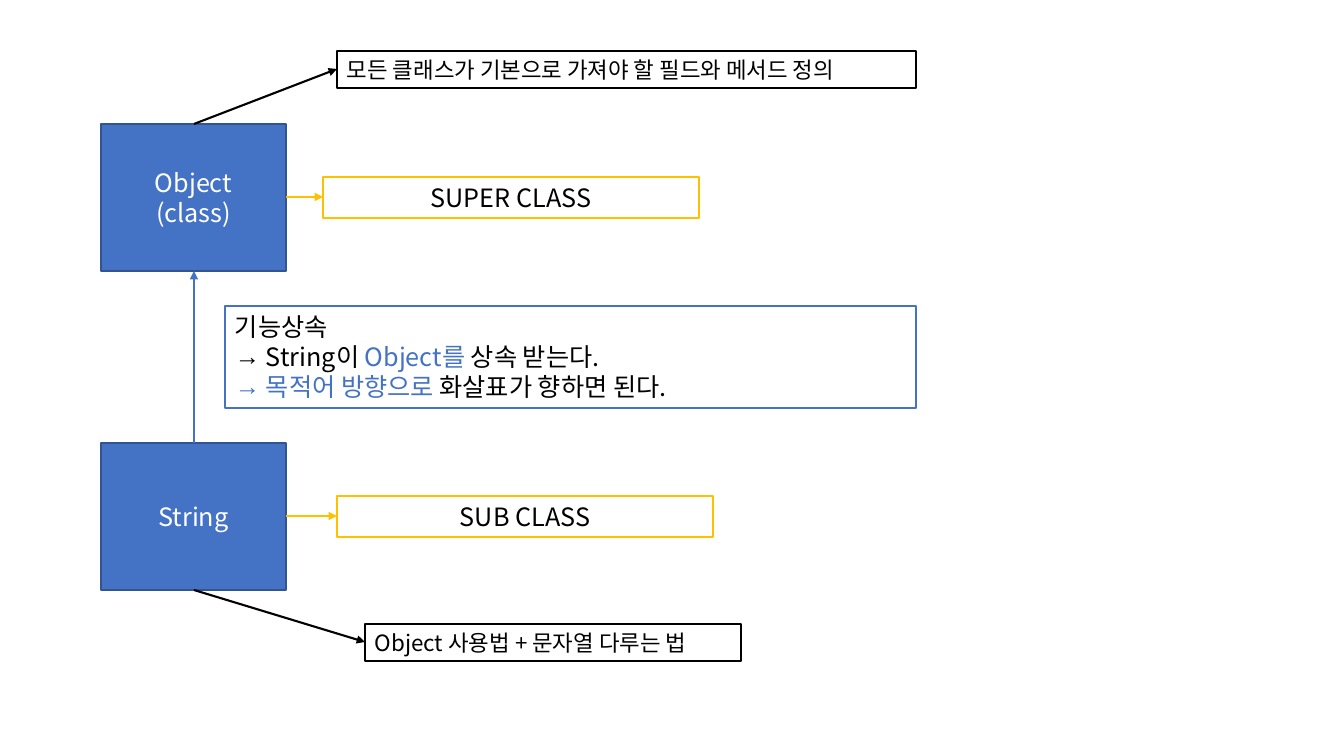
"""Build a slide on how the String class inherits from Object."""
from lxml.etree import SubElement
from pptx import Presentation
from pptx.dml.color import RGBColor
from pptx.enum.shapes import MSO_CONNECTOR, MSO_SHAPE
from pptx.enum.text import MSO_ANCHOR, MSO_AUTO_SIZE as AutoSize, PP_ALIGN as Align
from pptx.oxml.ns import qn
from pptx.util import Pt

BLUE = RGBColor(0x44, 0x72, 0xC4)
NAVY = RGBColor(0x32, 0x54, 0x91)
GOLD = RGBColor(0xFF, 0xC0, 0x00)
BLACK = RGBColor(0, 0, 0)
WHITE = RGBColor(255, 255, 255)


class Diagram:
    FONT = "Noto Sans CJK KR"
    SCALE = 914400 / 100.8

    def __init__(self, width, height):
        self.deck = Presentation()
        self.deck.slide_width, self.deck.slide_height = self.emu(width, height)
        self.slide = self.deck.slides.add_slide(self.deck.slide_layouts[6])

    def emu(self, *pixels):
        return [round(pixel * self.SCALE) for pixel in pixels]

    def paint(self, shape, fill, line):
        shape.fill.solid()
        shape.fill.fore_color.rgb = fill
        shape.line.color.rgb = line
        shape.line.width = Pt(1)
        shape.text_frame.word_wrap = True

    def fill_text(self, frame, paragraphs, color, size, align, bullets_from=None):
        for index, pieces in enumerate(paragraphs):
            paragraph = frame.add_paragraph() if index else frame.paragraphs[0]
            paragraph.alignment = align
            if bullets_from is not None and index >= bullets_from:
                self.bullet(paragraph)
            paragraph.font.size = Pt(size)
            paragraph.font.name = self.FONT
            paragraph.font.color.rgb = color
            defaults = paragraph.font._element
            SubElement(defaults, qn("a:ea"), typeface=self.FONT)
            for text, shade in pieces:
                run = paragraph.add_run()
                run.text = text
                if shade != color:
                    run.font.color.rgb = shade

    def bullet(self, paragraph):
        properties = paragraph._p.get_or_add_pPr()
        indent = self.emu(31)[0]
        properties.set("marL", str(indent))
        properties.set("indent", str(-indent))
        SubElement(properties, qn("a:buFont"), typeface="Arial")
        SubElement(properties, qn("a:buChar"), char="→")

    def class_box(self, lines, left, top, width, height):
        box = self.slide.shapes.add_shape(
            MSO_SHAPE.RECTANGLE, *self.emu(left, top, width, height))
        box.shadow.inherit = False
        self.paint(box, BLUE, NAVY)
        box.text_frame.vertical_anchor = MSO_ANCHOR.MIDDLE
        self.fill_text(box.text_frame, [[(line, WHITE)] for line in lines],
                       WHITE, 18, Align.CENTER)

    def note(self, paragraphs, left, top, width, height, line,
             size=18, align=Align.LEFT, bullets_from=None):
        box = self.slide.shapes.add_textbox(*self.emu(left, top, width, height))
        self.paint(box, WHITE, line)
        box.text_frame.auto_size = AutoSize.SHAPE_TO_FIT_TEXT
        self.fill_text(box.text_frame, paragraphs, BLACK, size, align, bullets_from)

    def arrow(self, start, end, color):
        arrow = self.slide.shapes.add_connector(
            MSO_CONNECTOR.STRAIGHT, *self.emu(*start, *end))
        arrow.line.color.rgb = color
        arrow.line.width = Pt(1.5)
        SubElement(arrow.line._get_or_add_ln(), qn("a:tailEnd"), type="triangle")
        SubElement(arrow._element.spPr, qn("a:effectLst"))


diagram = Diagram(1344, 756)
LEFT, WIDTH, HEIGHT = 101, 185, 147
RIGHT, CENTER = LEFT + WIDTH, 194
OBJECT_TOP, STRING_TOP = 124, 443
LABEL_WIDTH, LABEL_HEIGHT, DUTY_HEIGHT = 376, 41, 37

diagram.class_box(["Object", "(class)"], LEFT, OBJECT_TOP, WIDTH, HEIGHT)
diagram.class_box(["String"], LEFT, STRING_TOP, WIDTH, HEIGHT)
diagram.arrow((CENTER, STRING_TOP), (CENTER, OBJECT_TOP + HEIGHT), BLUE)

inheritance = [
    [("기능상속", BLACK)],
    [("String이 ", BLACK), ("Object를", BLUE), (" 상속 받는다.", BLACK)],
    [("목적어 방향으로 ", BLUE), ("화살표가 향하면 된다.", BLACK)],
]
diagram.note(inheritance, 225, 306, 691, 102, BLUE, bullets_from=1)

for role, role_left, class_top in (("SUPER CLASS", 323, OBJECT_TOP),
                                   ("SUB CLASS", 337, STRING_TOP)):
    middle = class_top + HEIGHT // 2
    diagram.note([[(role, BLACK)]], role_left, middle - LABEL_HEIGHT // 2,
                 LABEL_WIDTH, LABEL_HEIGHT, GOLD, align=Align.CENTER)
    diagram.arrow((RIGHT, middle), (role_left, middle), GOLD)

for duty, duty_left, duty_top, duty_width, class_edge in (
        ("모든 클래스가 기본으로 가져야 할 필드와 메서드 정의", 337, 51, 579, OBJECT_TOP),
        ("Object 사용법 + 문자열 다루는 법", 365, 624, LABEL_WIDTH, STRING_TOP + HEIGHT)):
    diagram.note([[(duty, BLACK)]], duty_left, duty_top, duty_width,
                 DUTY_HEIGHT, BLACK, size=16)
    diagram.arrow((CENTER, class_edge), (duty_left, duty_top + DUTY_HEIGHT // 2), BLACK)

diagram.deck.save("out.pptx")
